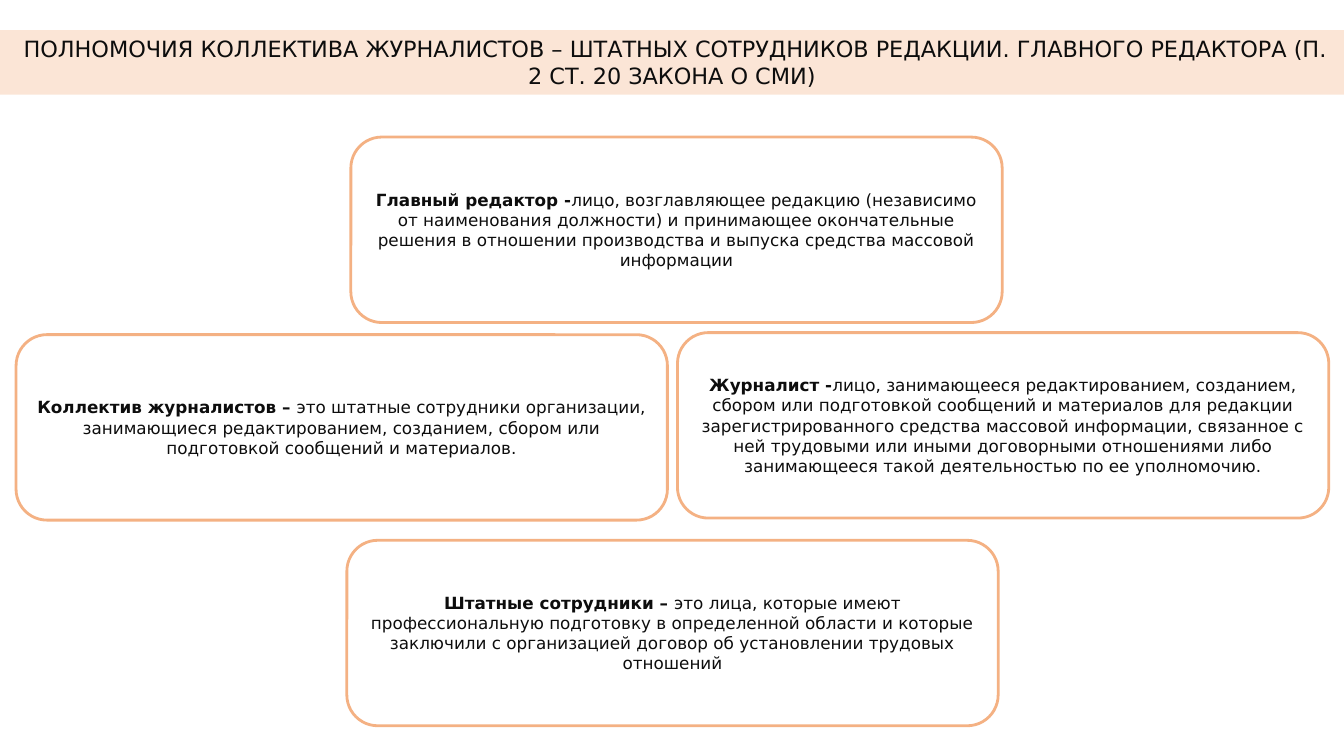
from dataclasses import dataclass

from pptx import Presentation
from pptx.dml.color import RGBColor
from pptx.enum.shapes import MSO_SHAPE
from pptx.enum.text import MSO_ANCHOR, PP_ALIGN
from pptx.shapes.autoshape import Shape
from pptx.slide import Slide
from pptx.util import Inches, Pt

SLIDE_WIDTH = Inches(13.33)
SLIDE_HEIGHT = Inches(7.5)

PEACH = RGBColor(0xFB, 0xE5, 0xD6)
ORANGE = RGBColor(0xF4, 0xB1, 0x83)
WHITE = RGBColor(0xFF, 0xFF, 0xFF)
INK = RGBColor(0x0D, 0x0D, 0x0D)
FONT = "DejaVu Sans"

# Card size in percent of the slide
CARD_WIDTH = 48.46
CARD_HEIGHT = 24.53

TITLE = (
    " ПОЛНОМОЧИЯ КОЛЛЕКТИВА ЖУРНАЛИСТОВ – ШТАТНЫХ СОТРУДНИКОВ РЕДАКЦИИ. "
    "ГЛАВНОГО РЕДАКТОРА (П. 2 СТ. 20 ЗАКОНА О СМИ)"
)


@dataclass(frozen=True)
class Card:
    """A term and its definition; left and top in percent of the slide."""
    left: float
    top: float
    term: str
    definition: str


CARDS = [
    Card(50.41, 44, "Журналист -",
         "лицо, занимающееся редактированием, созданием, сбором или подготовкой "
         "сообщений и материалов для редакции зарегистрированного средства массовой "
         "информации, связанное с ней трудовыми или иными договорными отношениями "
         "либо занимающееся такой деятельностью по ее уполномочию."),
    Card(1.2, 44.27, "Коллектив журналистов – ",
         "это штатные сотрудники организации, занимающиеся редактированием, "
         "созданием, сбором или подготовкой сообщений и материалов."),
    Card(25.81, 71.47, "Штатные сотрудники – ",
         "это лица, которые имеют профессиональную подготовку в определенной области "
         "и которые заключили с организацией договор об установлении трудовых отношений"),
    Card(26.11, 18.13, "Главный редактор -",
         "лицо, возглавляющее редакцию (независимо от наименования должности) и "
         "принимающее окончательные решения в отношении производства и выпуска "
         "средства массовой информации"),
]


def add_panel(slide: Slide, kind: MSO_SHAPE, left: float, top: float,
              width: float, height: float, fill: RGBColor, size: int) -> Shape:
    """Add a filled shape, placed in percent, ready for centred text."""
    shape = slide.shapes.add_shape(
        kind,
        round(SLIDE_WIDTH * left / 100), round(SLIDE_HEIGHT * top / 100),
        round(SLIDE_WIDTH * width / 100), round(SLIDE_HEIGHT * height / 100),
    )
    shape.shadow.inherit = False
    shape.fill.solid()
    shape.fill.fore_color.rgb = fill
    shape.text_frame.word_wrap = True
    paragraph = shape.text_frame.paragraphs[0]
    paragraph.alignment = PP_ALIGN.CENTER
    paragraph.font.name = FONT
    paragraph.font.size = Pt(size)
    paragraph.font.color.rgb = INK
    return shape


def add_title(slide: Slide) -> None:
    band = add_panel(slide, MSO_SHAPE.RECTANGLE, 0, 4, 100, 8.53, PEACH, 16)
    band.line.fill.background()
    band.text_frame.vertical_anchor = MSO_ANCHOR.TOP
    band.text_frame.paragraphs[0].add_run().text = TITLE


def add_card(slide: Slide, card: Card) -> None:
    box = add_panel(slide, MSO_SHAPE.ROUNDED_RECTANGLE, card.left, card.top,
                    CARD_WIDTH, CARD_HEIGHT, WHITE, 12)
    box.line.color.rgb = ORANGE
    box.line.width = Pt(2)
    box.text_frame.vertical_anchor = MSO_ANCHOR.MIDDLE
    paragraph = box.text_frame.paragraphs[0]
    term = paragraph.add_run()
    term.text = card.term
    term.font.bold = True
    paragraph.add_run().text = card.definition


def main() -> None:
    presentation = Presentation()
    presentation.slide_width = SLIDE_WIDTH
    presentation.slide_height = SLIDE_HEIGHT
    slide = presentation.slides.add_slide(presentation.slide_layouts[6])

    # Heading band
    add_title(slide)

    # Definitions
    for card in CARDS:
        add_card(slide, card)

    presentation.save("out.pptx")


if __name__ == "__main__":
    main()
